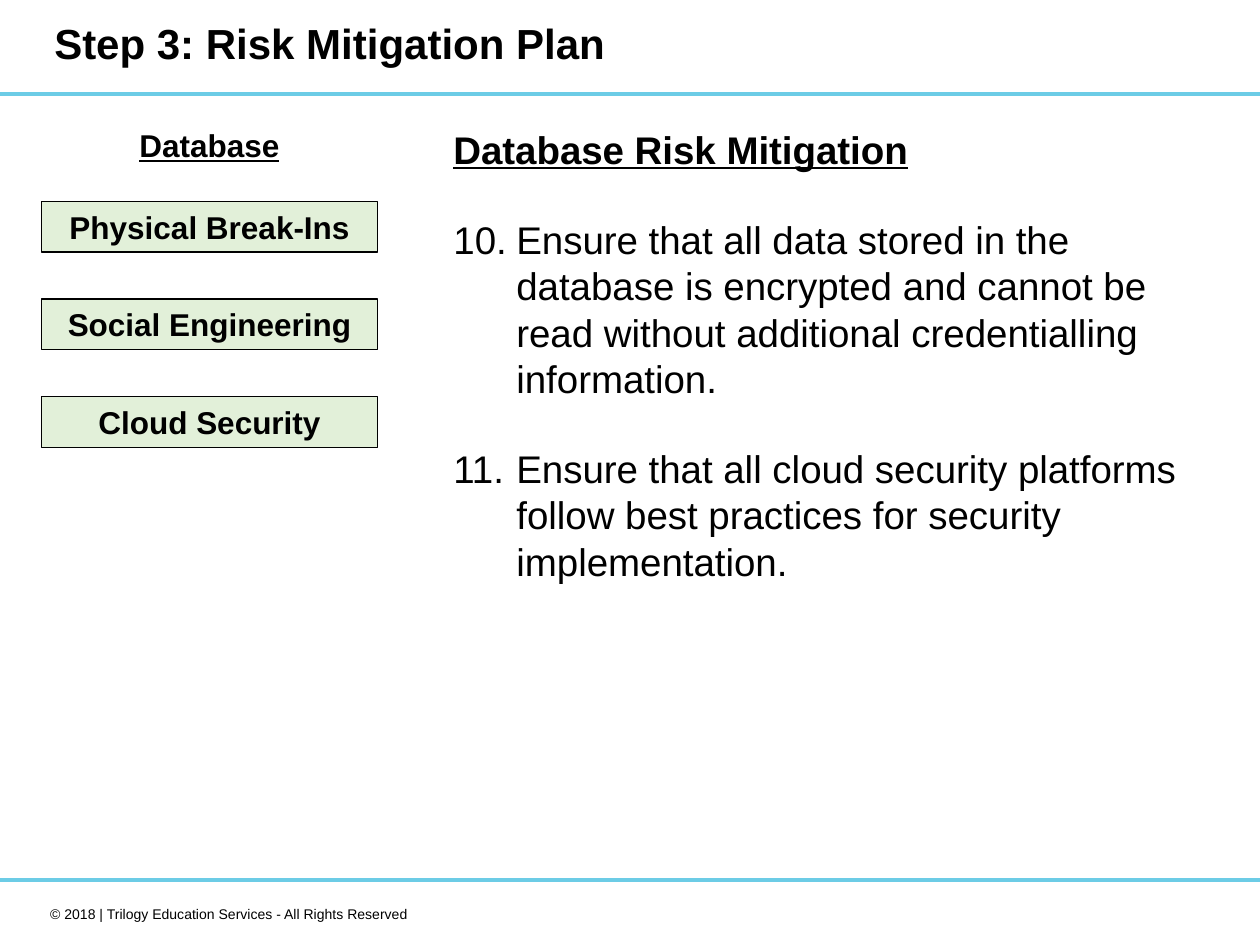
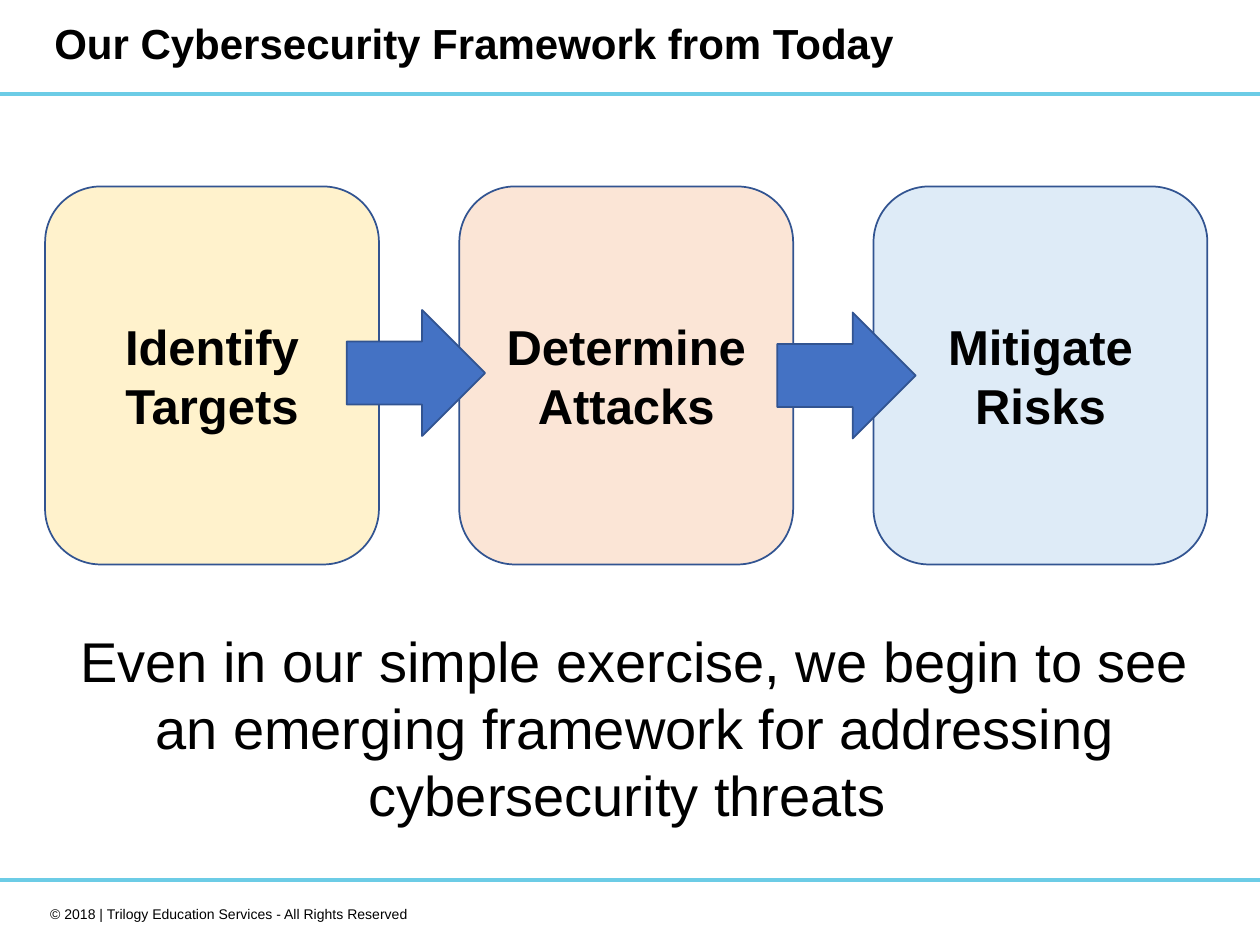
from dataclasses import dataclass

from lxml.etree import SubElement
from pptx import Presentation
from pptx.dml.color import RGBColor
from pptx.enum.shapes import MSO_SHAPE as SHAPE
from pptx.enum.text import MSO_ANCHOR as ANCHOR, MSO_AUTO_SIZE as AUTO, PP_ALIGN as ALIGN
from pptx.oxml.ns import qn
from pptx.util import Cm, Pt

FOOTER = "© 2018 | Trilogy Education Services - All Rights Reserved"

RISK_TITLE = "Step 3: Risk Mitigation Plan"
TARGET = "Database"
ATTACKS = ["Physical Break-Ins", "Social Engineering", "Cloud Security"]
PLAN_HEADING = "Database Risk Mitigation"
FIRST_NUMBER = 10
MITIGATIONS = [
    "Ensure that all data stored in the database is encrypted and cannot be "
    "read without additional credentialling information.",
    "Ensure that all cloud security platforms follow best practices for "
    "security implementation.",
]

FRAMEWORK_TITLE = "Our Cybersecurity Framework from Today"
STEPS = [
    ("Identify Targets", "FFF2CC"),
    ("Determine Attacks", "FBE5D6"),
    ("Mitigate Risks", "DEEBF7"),
]
SUMMARY = ("Even in our simple exercise, we begin to see an emerging framework "
           "for addressing cybersecurity threats ")


@dataclass(frozen=True)
class Theme:
    font: str = "Arial"
    text: str = "000000"
    rule: str = "6CCCE6"
    attack: str = "E2F0D9"
    arrow: str = "4472C4"
    outline: str = "325491"
    title: int = 24
    footer: int = 8
    label: int = 18
    plan: int = 22
    step: int = 28
    summary: int = 32


THEME = Theme()


def write(p, text, size, align=ALIGN.LEFT, **style):
    p.alignment = align
    r = p.add_run()
    r.text = text
    values = {"name": THEME.font, "size": Pt(size), **style}
    for key, value in values.items():
        setattr(r.font, key, value)
    r.font.color.rgb = RGBColor.from_string(THEME.text)


def add_text(slide, box, text, size, align=ALIGN.LEFT, **style):
    sp = slide.shapes.add_textbox(*map(Cm, box))
    tf = sp.text_frame
    tf.word_wrap = True
    tf.auto_size = AUTO.SHAPE_TO_FIT_TEXT
    write(tf.paragraphs[0], text, size, align, **style)
    return tf


def add_block(slide, kind, box, fill, line=None, width=1):
    sp = slide.shapes.add_shape(kind, *map(Cm, box))
    sp.shadow.inherit = False
    sp.fill.solid()
    sp.fill.fore_color.rgb = RGBColor.from_string(fill)
    if line:
        sp.line.color.rgb = RGBColor.from_string(line)
        sp.line.width = Pt(width)
    else:
        sp.line.fill.background()
    return sp


def add_slide(prs, title, title_width):
    slide = prs.slides.add_slide(prs.slide_layouts[5])
    for left, top in ((-0.03, 17.7), (0, 1.85)):
        add_block(slide, SHAPE.FLOWCHART_PROCESS, (left, top, 25.43, 0.08), THEME.rule)
    add_text(slide, (0.43, 18.14, 8.05, 0.6), FOOTER, THEME.footer, ALIGN.RIGHT)
    sp = slide.shapes.title
    place = {"left": 0.84, "top": 0, "width": title_width, "height": 1.83}
    for key, value in place.items():
        setattr(sp, key, Cm(value))
    tf = sp.text_frame
    tf.vertical_anchor = ANCHOR.MIDDLE
    p = tf.paragraphs[0]
    p.line_spacing = 0.9
    write(p, title, THEME.title, bold=True)
    return slide


def number(p, start):
    pPr = p._p.get_or_add_pPr()
    pPr.set("marL", str(Cm(1.27)))
    pPr.set("indent", str(-Cm(1.27)))
    SubElement(pPr, qn("a:buFont"), typeface=THEME.font)
    SubElement(pPr, qn("a:buAutoNum"), type="arabicPeriod", startAt=str(start))


def build_risk_plan(prs):
    slide = add_slide(prs, RISK_TITLE, 15.19)
    tf = add_text(slide, (8.89, 2.41, 15.88, 10.59), PLAN_HEADING, THEME.plan,
                  bold=True, underline=True)
    for text in MITIGATIONS:
        p = tf.add_paragraph()
        number(p, FIRST_NUMBER)
        p.space_before = Pt(25.3)
        write(p, text, THEME.plan)

    left, width, height = 0.84, 6.77, 1.02
    add_text(slide, (left, 2.41, width, height), TARGET, THEME.label, ALIGN.CENTER,
             bold=True, underline=True)
    for i, attack in enumerate(ATTACKS):
        sp = add_block(slide, SHAPE.RECTANGLE, (left, 4.06 + 1.97 * i, width, height),
                       THEME.attack, THEME.text, 0.75)
        write(sp.text_frame.paragraphs[0], attack, THEME.label, ALIGN.CENTER, bold=True)


def build_framework(prs):
    slide = add_slide(prs, FRAMEWORK_TITLE, 23.77)
    add_text(slide, (0.69, 12.5, 24.23, 4.37), SUMMARY, THEME.summary, ALIGN.CENTER)
    for i, (step, fill) in enumerate(STEPS):
        sp = add_block(slide, SHAPE.ROUNDED_RECTANGLE, (0.91 + 8.35 * i, 3.76, 6.73, 7.62),
                       fill, THEME.outline)
        write(sp.text_frame.paragraphs[0], step, THEME.step, ALIGN.CENTER, bold=True)
    for i in range(len(STEPS) - 1):
        add_block(slide, SHAPE.RIGHT_ARROW, (6.99 + 8.68 * i, 6.25 + 0.05 * i, 2.79, 2.54),
                  THEME.arrow, THEME.outline)


def main():
    prs = Presentation()
    prs.slide_width, prs.slide_height = Cm(25.4), Cm(19.05)
    build_risk_plan(prs)
    build_framework(prs)
    prs.save("out.pptx")


if __name__ == "__main__":
    main()
